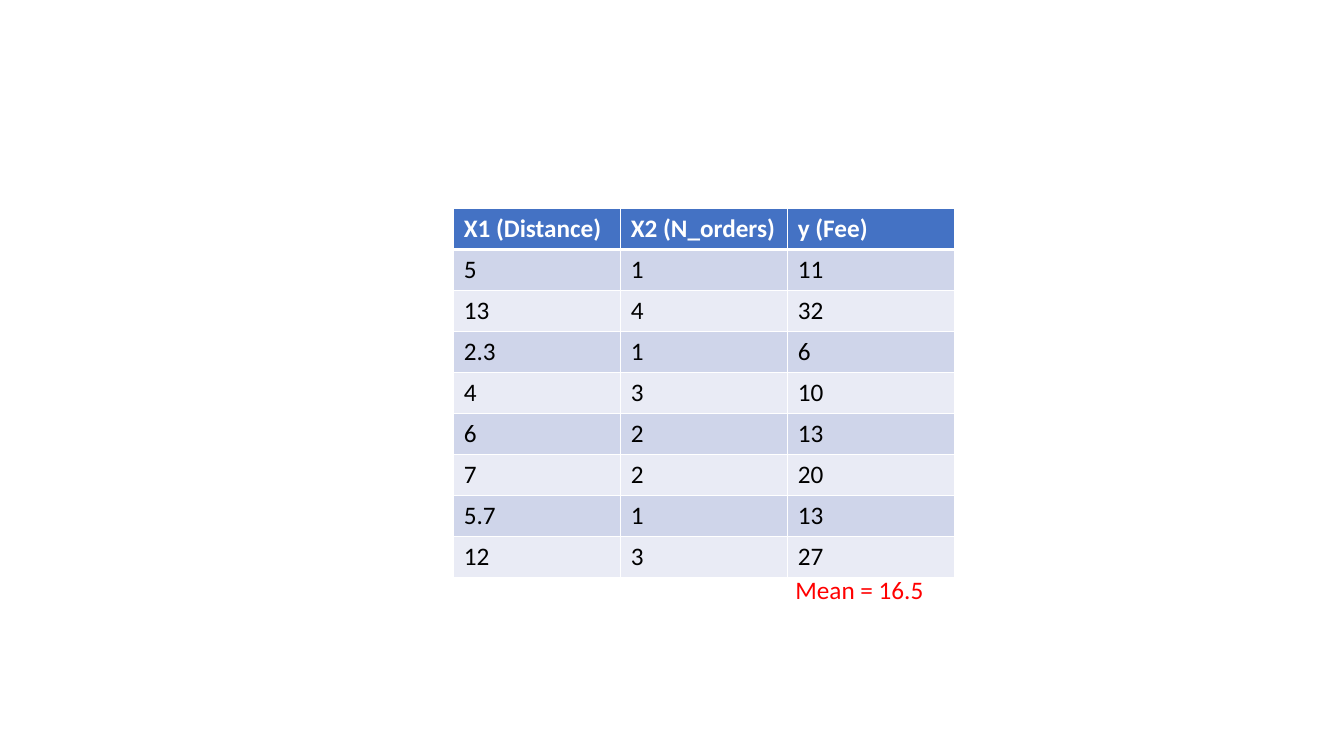
from lxml.etree import SubElement
from pptx import Presentation
from pptx.dml.color import RGBColor
from pptx.enum.text import MSO_AUTO_SIZE
from pptx.oxml.ns import qn
from pptx.util import Inches, Pt

COLORS = {
    "header": "4472C4",
    "band_dark": "CFD5EA",
    "band_light": "E9EBF5",
    "white": "FFFFFF",
    "text": "000000",
    "mean": "FF0000",
}

HEADER = ["X1 (Distance)", "X2 (N_orders)", "y (Fee)"]
ORDERS = [
    (5, 1, 11),
    (13, 4, 32),
    (2.3, 1, 6),
    (4, 3, 10),
    (6, 2, 13),
    (7, 2, 20),
    (5.7, 1, 13),
    (12, 3, 27),
]


class SlideBuilder:
    font = "Calibri"
    size = Pt(18)

    def __init__(self, slide):
        self.s = slide

    def rgb(self, name):
        return RGBColor.from_string(COLORS[name])

    def set_text(self, tf, text, color, bold=False):
        p = tf.paragraphs[0]
        p.text = text
        p.font.name, p.font.size, p.font.bold = self.font, self.size, bold
        p.font.color.rgb = self.rgb(color)

    def border(self, cell, side, width):
        ln = SubElement(cell._tc.get_or_add_tcPr(), qn(f"a:ln{side}"), w=str(Pt(width)))
        fill = SubElement(ln, qn("a:solidFill"))
        SubElement(fill, qn("a:srgbClr"), val=COLORS["white"])

    def table(self, rows, left, top, width, height):
        table = self.s.shapes.add_table(
            len(rows), len(rows[0]),
            Inches(left), Inches(top), Inches(width), Inches(height)).table
        for i, row in enumerate(rows):
            is_header = i == 0
            band = "header" if is_header else "band_dark" if i % 2 else "band_light"
            # The line under the header is thicker than the rest
            widths = {"L": 1, "R": 1, "T": 3 if i == 1 else 1, "B": 3 if is_header else 1}
            for j, value in enumerate(row):
                cell = table.cell(i, j)
                for side, line_width in widths.items():
                    self.border(cell, side, line_width)
                cell.fill.solid()
                cell.fill.fore_color.rgb = self.rgb(band)
                self.set_text(cell.text_frame, str(value),
                              "white" if is_header else "text", is_header)

    def label(self, text, color, left, top, width, height):
        tf = self.s.shapes.add_textbox(
            Inches(left), Inches(top), Inches(width), Inches(height)).text_frame
        tf.word_wrap = False
        tf.auto_size = MSO_AUTO_SIZE.SHAPE_TO_FIT_TEXT
        self.set_text(tf, text, color)


def main():
    prs = Presentation()
    prs.slide_width, prs.slide_height = Inches(13.33), Inches(7.5)
    builder = SlideBuilder(prs.slides.add_slide(prs.slide_layouts[6]))

    # Delivery data
    builder.table([HEADER, *ORDERS], 4.5, 2.07, 4.97, 3.66)

    # Mean of the fee column
    mean = sum(fee for _, _, fee in ORDERS) / len(ORDERS)
    builder.label(f"Mean = {mean:.1f}", "mean", 7.79, 5.65, 1.49, 0.4)

    prs.save("out.pptx")


if __name__ == "__main__":
    main()
